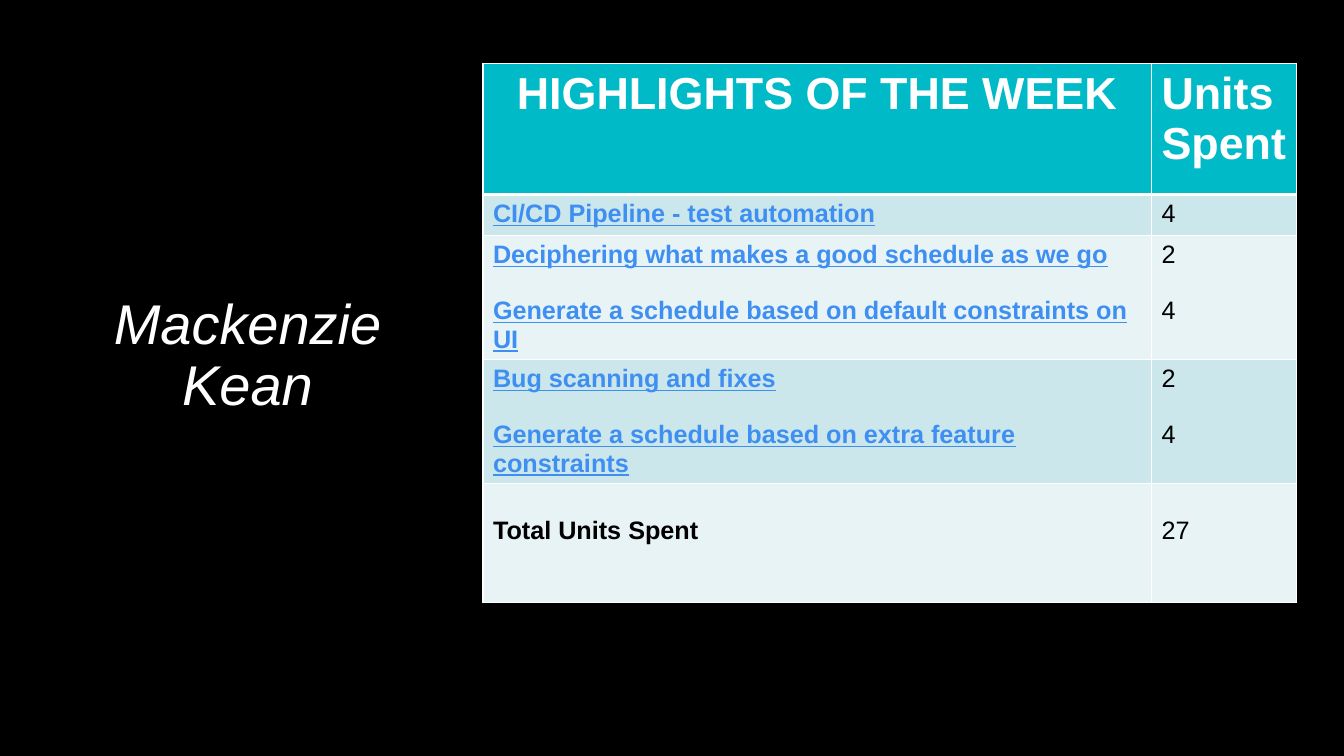
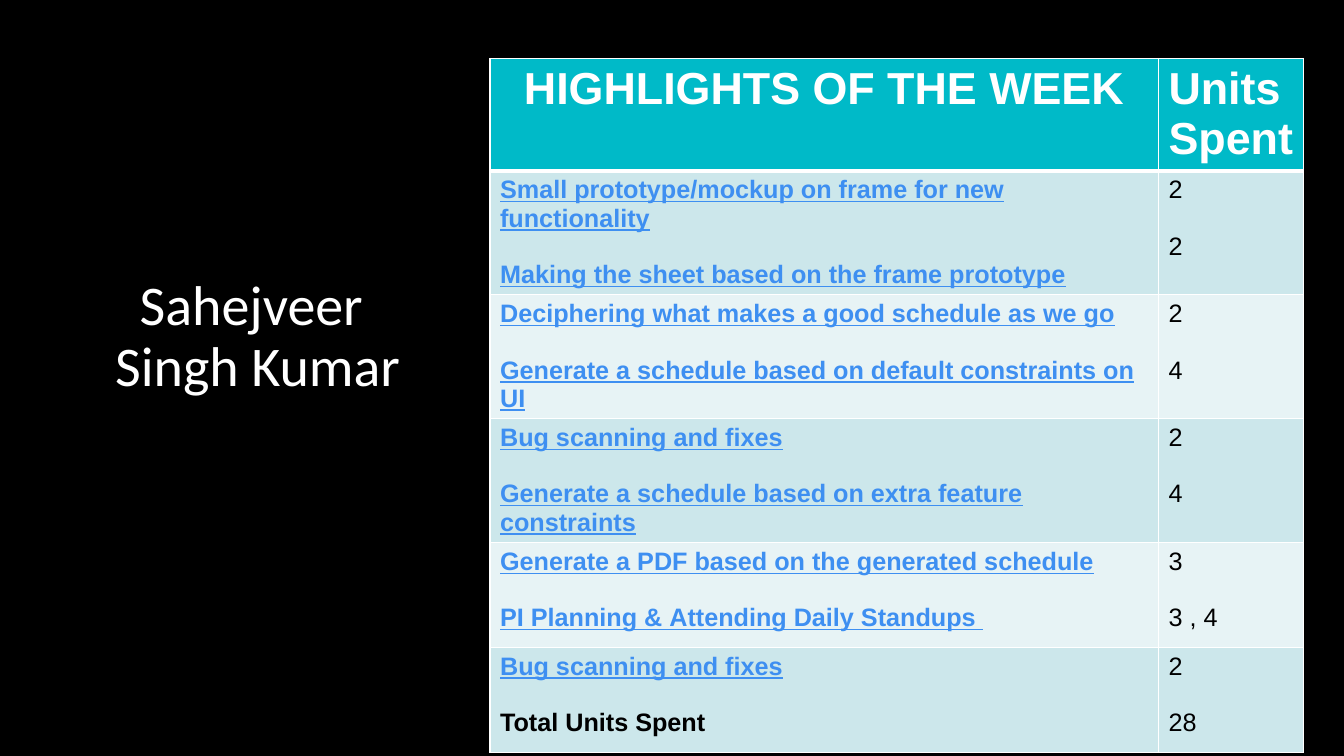
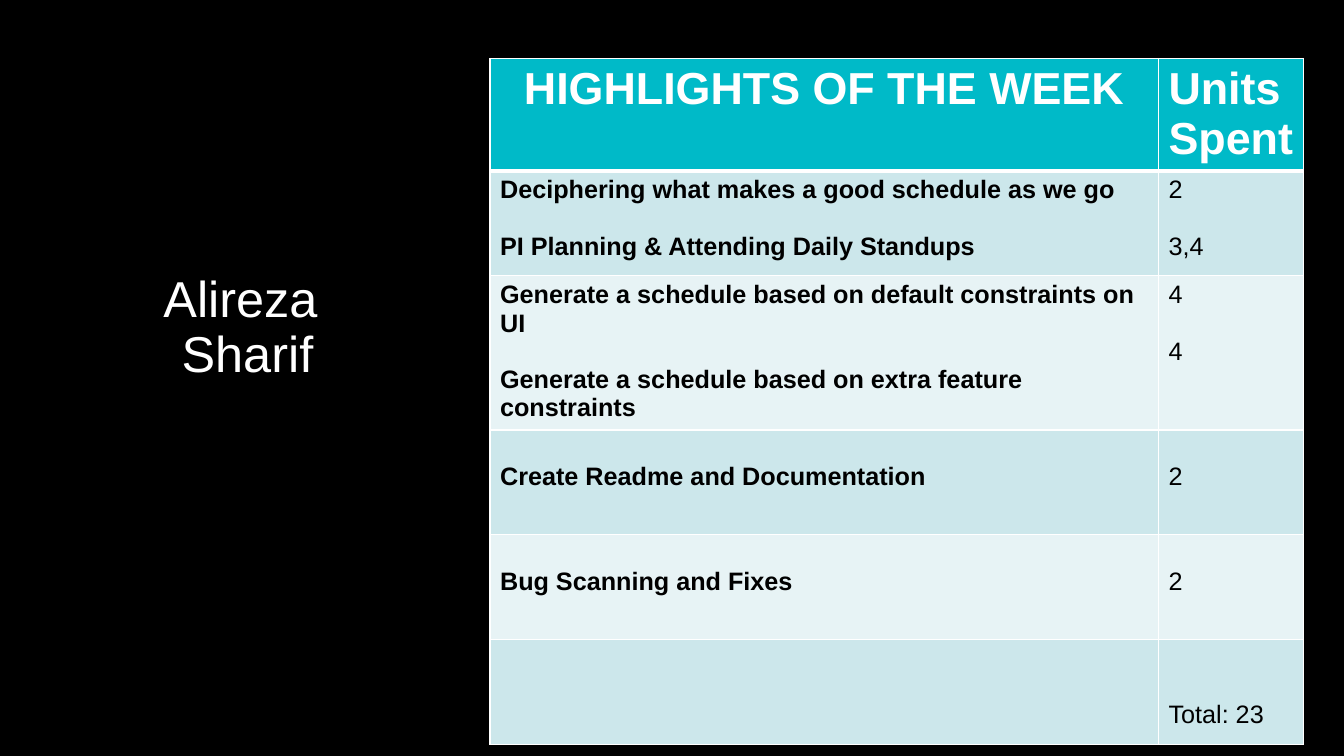
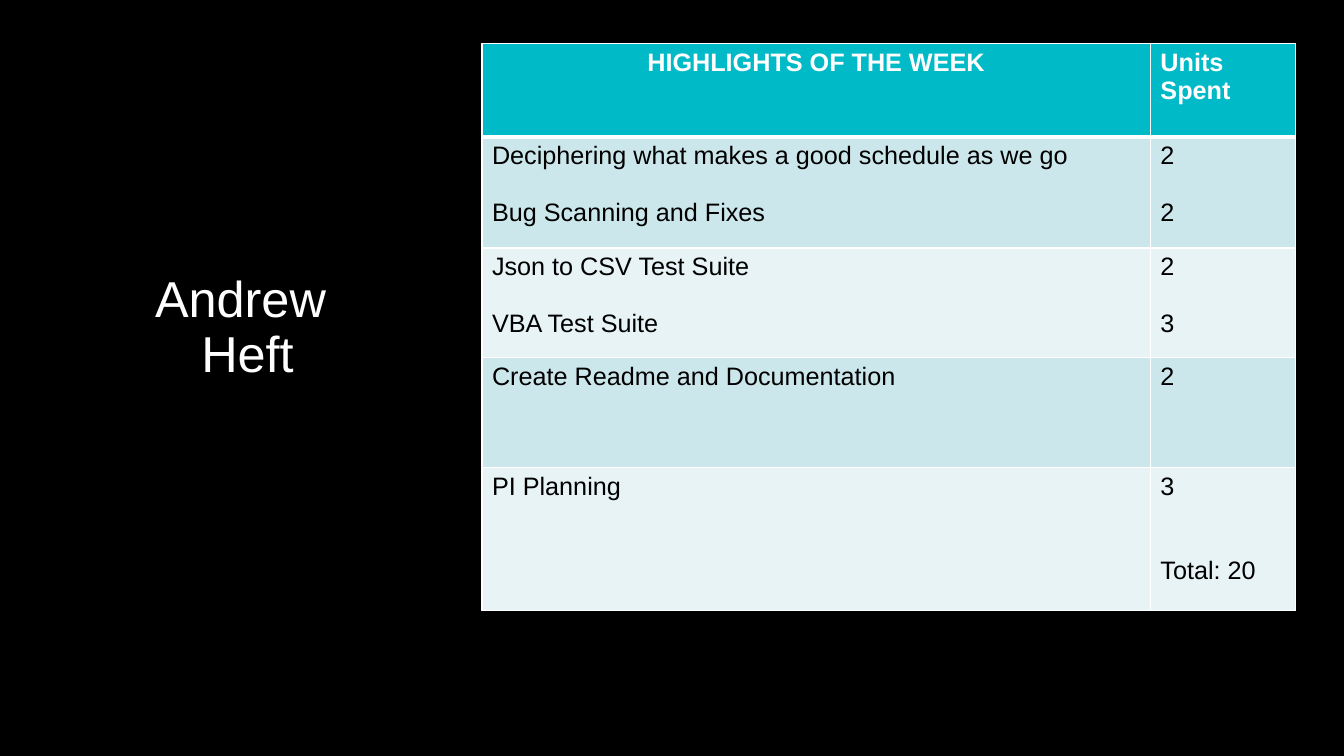
"""Build four weekly highlight slides, one per team member."""
from dataclasses import dataclass

from lxml import etree
from pptx import Presentation
from pptx.dml.color import RGBColor
from pptx.enum.text import MSO_ANCHOR, PP_ALIGN
from pptx.oxml.ns import qn
from pptx.presentation import Presentation as Deck
from pptx.slide import Slide
from pptx.table import _Cell
from pptx.util import Inches, Pt

CENTER = PP_ALIGN.CENTER
LEFT = PP_ALIGN.LEFT
TOP = MSO_ANCHOR.TOP

BLACK = RGBColor(0x00, 0x00, 0x00)
WHITE = RGBColor(0xFF, 0xFF, 0xFF)
TEAL = RGBColor(0x00, 0xBA, 0xC8)
BLUE = RGBColor(0x3E, 0x8F, 0xF1)
BANDS = (RGBColor(0xCC, 0xE7, 0xEB), RGBColor(0xE7, 0xF3, 0xF5))

BODY_FONT = "Arial"
BODY_SIZE = 18
BLANK_LINE = 20
CELL_MARGIN = 0.05
COLUMN_WIDTHS = (6.63, 1.44)
THIN_LINE = 1
HEADER_LINE = 3


@dataclass(frozen=True)
class Style:
    color: RGBColor = BLACK
    bold: bool = False
    underline: bool = False
    size: int = BODY_SIZE
    align: PP_ALIGN = LEFT


PLAIN = Style()
BOLD = Style(bold=True)
LINK = Style(BLUE, bold=True, underline=True)


@dataclass(frozen=True)
class Entry:
    text: str
    style: Style = PLAIN
    blank_lines: int = 0


Entries = tuple[Entry, ...]


@dataclass(frozen=True)
class Row:
    height: float
    tasks: Entries
    units: Entries


@dataclass(frozen=True)
class Name:
    text: str
    left: float
    top: float
    width: float
    height: float
    size: int
    font: str = BODY_FONT
    italic: bool = False


@dataclass(frozen=True)
class Report:
    name: Name
    left: float
    top: float
    header_height: float
    rows: tuple[Row, ...]
    header_size: int = 32


def spaced(style: Style, *texts: str) -> Entries:
    """Return entries with one blank line between neighbours."""
    return tuple(Entry(text, style, min(place, 1)) for place, text in enumerate(texts))


def lowered(text: str, style: Style = PLAIN, lines: int = 1) -> Entries:
    """Return a single entry that starts below the top of its cell."""
    return (Entry(text, style, lines),)


def set_borders(cell: _Cell, top: int, bottom: int) -> None:
    """Draw white lines around a cell, widths in points."""
    properties = cell._tc.get_or_add_tcPr()
    widths = {"a:lnL": THIN_LINE, "a:lnR": THIN_LINE, "a:lnT": top, "a:lnB": bottom}
    for tag, width in widths.items():
        line = etree.SubElement(properties, qn(tag), w=str(Pt(width)))
        fill = etree.SubElement(line, qn("a:solidFill"))
        etree.SubElement(fill, qn("a:srgbClr"), val=str(WHITE))


def fill_cell(cell: _Cell, entries: Entries, color: RGBColor) -> None:
    """Colour a cell and write its entries, one paragraph each."""
    cell.fill.solid()
    cell.fill.fore_color.rgb = color
    cell.vertical_anchor = TOP
    cell.margin_bottom = 0
    if not entries:
        return
    cell.margin_top = Inches(CELL_MARGIN) + Pt(entries[0].blank_lines * BLANK_LINE)
    cell.text_frame.text = "\n".join(entry.text for entry in entries)
    for place, (entry, paragraph) in enumerate(zip(entries, cell.text_frame.paragraphs)):
        style = entry.style
        paragraph.alignment = style.align
        if place:
            paragraph.space_before = Pt(entry.blank_lines * BLANK_LINE)
        for span in paragraph.runs:
            span.font.name = BODY_FONT
            span.font.size = Pt(style.size)
            span.font.bold = style.bold
            span.font.underline = style.underline
            span.font.color.rgb = style.color


def add_name(page: Slide, name: Name) -> None:
    """Write the member's name on the left of the page."""
    box = page.shapes.add_textbox(
        Inches(name.left), Inches(name.top), Inches(name.width), Inches(name.height)
    )
    frame = box.text_frame
    frame.word_wrap = True
    frame.vertical_anchor = TOP
    frame.margin_left = frame.margin_right = frame.margin_top = frame.margin_bottom = 0
    frame.text = name.text
    paragraph = frame.paragraphs[0]
    paragraph.alignment = CENTER
    paragraph.line_spacing = 0.9
    for span in paragraph.runs:
        span.font.name = name.font
        span.font.size = Pt(name.size)
        span.font.italic = name.italic
        span.font.color.rgb = WHITE


def add_highlights(page: Slide, report: Report) -> None:
    """Add the table of tasks and units."""
    heading = Style(WHITE, bold=True, size=report.header_size)
    centered = Style(WHITE, bold=True, size=report.header_size, align=CENTER)
    header = Row(
        report.header_height,
        (Entry("HIGHLIGHTS OF THE WEEK", centered),),
        (Entry("Units", heading), Entry("Spent", heading)),
    )
    rows = (header, *report.rows)
    table = page.shapes.add_table(
        len(rows), len(COLUMN_WIDTHS), Inches(report.left), Inches(report.top),
        Inches(sum(COLUMN_WIDTHS)), Inches(sum(row.height for row in rows)),
    ).table
    for column, width in zip(table.columns, COLUMN_WIDTHS):
        column.width = Inches(width)
    for number, row in enumerate(rows):
        table.rows[number].height = Inches(row.height)
        color = BANDS[(number - 1) % len(BANDS)] if number else TEAL
        top = HEADER_LINE if number == 1 else THIN_LINE
        bottom = THIN_LINE if number else HEADER_LINE
        for column, entries in enumerate((row.tasks, row.units)):
            cell = table.cell(number, column)
            set_borders(cell, top, bottom)
            fill_cell(cell, entries, color)


def add_report(deck: Deck, report: Report) -> None:
    """Add one member's page."""
    page = deck.slides.add_slide(deck.slide_layouts[6])
    page.background.fill.solid()
    page.background.fill.fore_color.rgb = BLACK
    add_name(page, report.name)
    add_highlights(page, report)


GOOD_SCHEDULE = "Deciphering what makes a good schedule as we go"
DEFAULT_RULES = "Generate a schedule based on default constraints on UI"
EXTRA_RULES = "Generate a schedule based on extra feature constraints"
BUG_FIXES = "Bug scanning and fixes"
BUG_FIXES_TITLE = "Bug Scanning and Fixes"
README = "Create Readme and Documentation"
TOTAL = "Total Units Spent"

SCHEDULE_ROWS = (
    Row(1.22, spaced(LINK, GOOD_SCHEDULE, DEFAULT_RULES), spaced(PLAIN, "2", "4")),
    Row(1.22, spaced(LINK, BUG_FIXES, EXTRA_RULES), spaced(PLAIN, "2", "4")),
)

REPORTS = (
    Report(
        Name("Mackenzie Kean", 0.57, 2.94, 3.77, 0.75, 40, italic=True),
        4.79, 0.63, 1.3,
        (
            Row(0.41, spaced(LINK, "CI/CD Pipeline - test automation"), spaced(PLAIN, "4")),
            *SCHEDULE_ROWS,
            Row(1.18, lowered(TOTAL, BOLD), lowered("27")),
        ),
    ),
    Report(
        Name("Sahejveer\u00a0\vSingh Kumar", 0.92, 2.75, 3.27, 1.38, 40, "Calibri"),
        4.86, 0.58, 1.1,
        (
            Row(
                1.22,
                spaced(
                    LINK,
                    "Small prototype/mockup on frame for new functionality",
                    "Making the sheet based on the frame prototype",
                ),
                spaced(PLAIN, "2", "2"),
            ),
            *SCHEDULE_ROWS,
            Row(
                1.04,
                spaced(
                    LINK,
                    "Generate a PDF based on the generated schedule",
                    "PI Planning\u00a0&\u00a0Attending Daily Standups\u00a0",
                ),
                spaced(PLAIN, "3", "3 , 4"),
            ),
            Row(
                1.04,
                (Entry(BUG_FIXES, LINK), Entry(TOTAL, BOLD, 1)),
                spaced(PLAIN, "2", "28"),
            ),
        ),
    ),
    Report(
        Name("Alireza\u00a0\vSharif", 0.57, 2.72, 3.77, 0.75, 36),
        4.86, 0.58, 1.1,
        (
            Row(
                1.04,
                spaced(BOLD, GOOD_SCHEDULE, "PI Planning & Attending Daily Standups"),
                spaced(PLAIN, "2", "3,4"),
            ),
            Row(1.5, spaced(BOLD, DEFAULT_RULES, EXTRA_RULES), spaced(PLAIN, "4", "4")),
            Row(1.04, lowered(README, BOLD), lowered("2")),
            Row(1.04, lowered(BUG_FIXES_TITLE, BOLD), lowered("2")),
            Row(1.04, (), lowered("Total: 23", lines=2)),
        ),
    ),
    Report(
        Name("Andrew\u00a0\vHeft", 0.57, 2.72, 3.77, 0.75, 36),
        4.78, 0.43, 0.93,
        (
            Row(
                1.1,
                spaced(PLAIN, GOOD_SCHEDULE, BUG_FIXES_TITLE + "\u00a0"),
                spaced(PLAIN, "2", "2"),
            ),
            Row(
                1.09,
                spaced(PLAIN, "Json to CSV Test Suite", "VBA Test Suite"),
                spaced(PLAIN, "2", "3"),
            ),
            Row(1.09, spaced(PLAIN, README), spaced(PLAIN, "2")),
            Row(
                1.42,
                spaced(PLAIN, "PI Planning"),
                (Entry("3"), Entry("Total: 20\u00a0", blank_lines=2)),
            ),
        ),
        header_size=BODY_SIZE,
    ),
)


def main() -> None:
    """Build and save the deck."""
    deck = Presentation()
    deck.slide_width = Inches(13.33)
    deck.slide_height = Inches(7.5)
    for report in REPORTS:
        add_report(deck, report)
    deck.save("out.pptx")


main()
